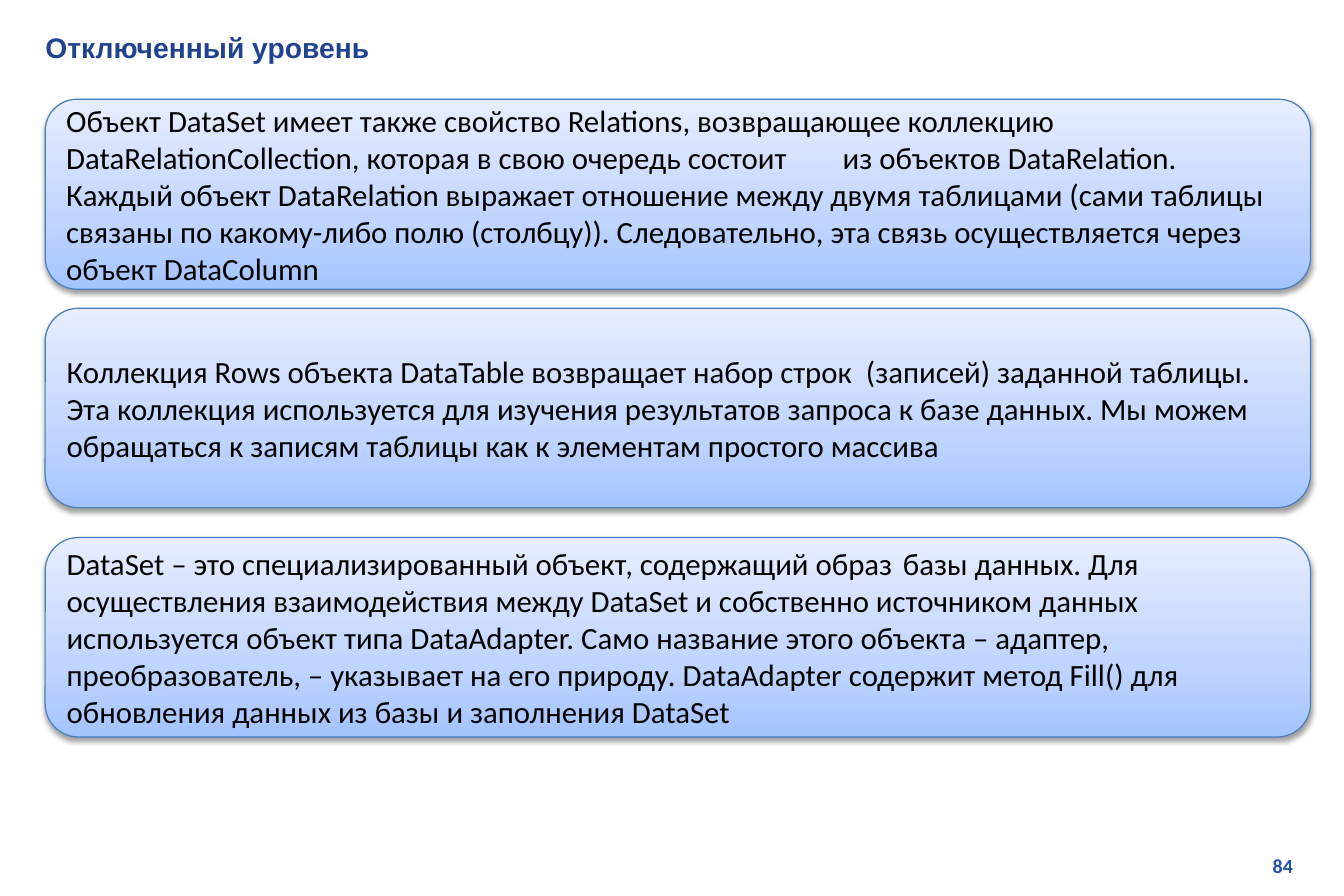
from lxml import etree
from pptx import Presentation
from pptx import util as u
from pptx.dml import color
from pptx.enum import shapes, text
from pptx.oxml import ns

# Texts of the three cards, with top and height
CARDS = [
    (59.8, 114.5,
     "Объект DataSet имеет также свойство Relations, возвращающее коллекцию "
     "DataRelationCollection, которая в свою очередь состоит\tиз объектов DataRelation. "
     "Каждый объект DataRelation выражает отношение между двумя таблицами (сами таблицы "
     "связаны по какому-либо полю (столбцу)). Следовательно, эта связь осуществляется "
     "через объект DataColumn"),
    (185.8, 120.2,
     "Коллекция Rows объекта DataTable возвращает набор строк  (записей) заданной таблицы. "
     "Эта коллекция используется для изучения результатов запроса к базе данных. Мы можем "
     "обращаться к записям таблицы как к элементам простого массива"),
    (324, 120.2,
     "DataSet – это специализированный объект, содержащий образ\tбазы данных. Для "
     "осуществления взаимодействия между DataSet и собственно источником данных "
     "используется объект типа DataAdapter. Само название этого объекта – адаптер, "
     "преобразователь, – указывает на его природу. DataAdapter содержит метод Fill() для "
     "обновления данных из базы и заполнения DataSet"),
]


def rgb(value):
    return color.RGBColor.from_string(value)


def add_xml(parent, tag, **attrs):
    return etree.SubElement(parent, ns.qn(tag), {k: str(v) for k, v in attrs.items()})


class Deck:
    GRADIENT = [(0, "A4C4FF"), (35, "BFD4FF"), (100, "E6EEFF")]
    BORDER = "4B7EBC"

    def __init__(self, width, height):
        self.prs = Presentation()
        self.prs.slide_width, self.prs.slide_height = u.Pt(width), u.Pt(height)
        self.s = self.prs.slides.add_slide(self.prs.slide_layouts[5])

    def set_text(self, sp, words, size, font, hue, bold=False,
                 align=text.PP_ALIGN.LEFT, anchor=text.MSO_ANCHOR.TOP):
        tf = sp.text_frame
        tf.word_wrap = True
        tf.auto_size = text.MSO_AUTO_SIZE.NONE
        tf.vertical_anchor = anchor
        tf.margin_left = tf.margin_right = u.Pt(7.2)
        tf.margin_top = tf.margin_bottom = u.Pt(3.6)
        p = tf.paragraphs[0]
        p.text, p.alignment = words, align
        p.font.size, p.font.name, p.font.bold = u.Pt(size), font, bold
        p.font.color.rgb = rgb(hue)

    def title(self, x, y, w, h, words):
        sp = self.s.shapes.title
        sp.left, sp.top, sp.width, sp.height = map(u.Pt, (x, y, w, h))
        self.set_text(sp, words, 17, "Arial", "21438F", bold=True)

    def number(self, x, y, w, h, words):
        sp = self.s.shapes.add_textbox(*map(u.Pt, (x, y, w, h)))
        self.set_text(sp, words, 12, "Calibri", "2750AB", bold=True,
                      align=text.PP_ALIGN.RIGHT)

    def card(self, x, y, w, h, words):
        sp = self.s.shapes.add_shape(shapes.MSO_SHAPE.ROUNDED_RECTANGLE,
                                     *map(u.Pt, (x, y, w, h)))
        sp.line.color.rgb, sp.line.width = rgb(self.BORDER), u.Pt(0.75)
        self.gradient(sp)
        self.shadow(sp)
        self.set_text(sp, words, 18.6, "Calibri", "000000",
                      anchor=text.MSO_ANCHOR.MIDDLE)

    def gradient(self, sp):
        sp.fill.gradient()
        sp.fill.gradient_angle = 90
        stops = sp._element.spPr.find(".//" + ns.qn("a:gsLst"))
        for stop in list(stops):
            stops.remove(stop)
        for pos, hue in self.GRADIENT:
            add_xml(add_xml(stops, "a:gs", pos=pos * 1000), "a:srgbClr", val=hue)

    def shadow(self, sp):
        sp.shadow.inherit = False
        effects = sp._element.spPr.find(ns.qn("a:effectLst"))
        outer = add_xml(effects, "a:outerShdw", blurRad=u.Pt(3.1), dist=u.Pt(1.6),
                        dir=90 * 60000, rotWithShape=0)
        add_xml(add_xml(outer, "a:srgbClr", val="000000"), "a:alpha", val=38000)


def main():
    deck = Deck(810, 540)

    # Slide number and title
    deck.number(614.9, 511.2, 171.4, 21.6, "84")
    deck.title(20.2, 14.4, 773.3, 28.8, "Отключенный уровень")

    # Cards
    for top, height, words in CARDS:
        deck.card(27.2, top, 762.6, height, words)

    deck.prs.save("out.pptx")


if __name__ == "__main__":
    main()
